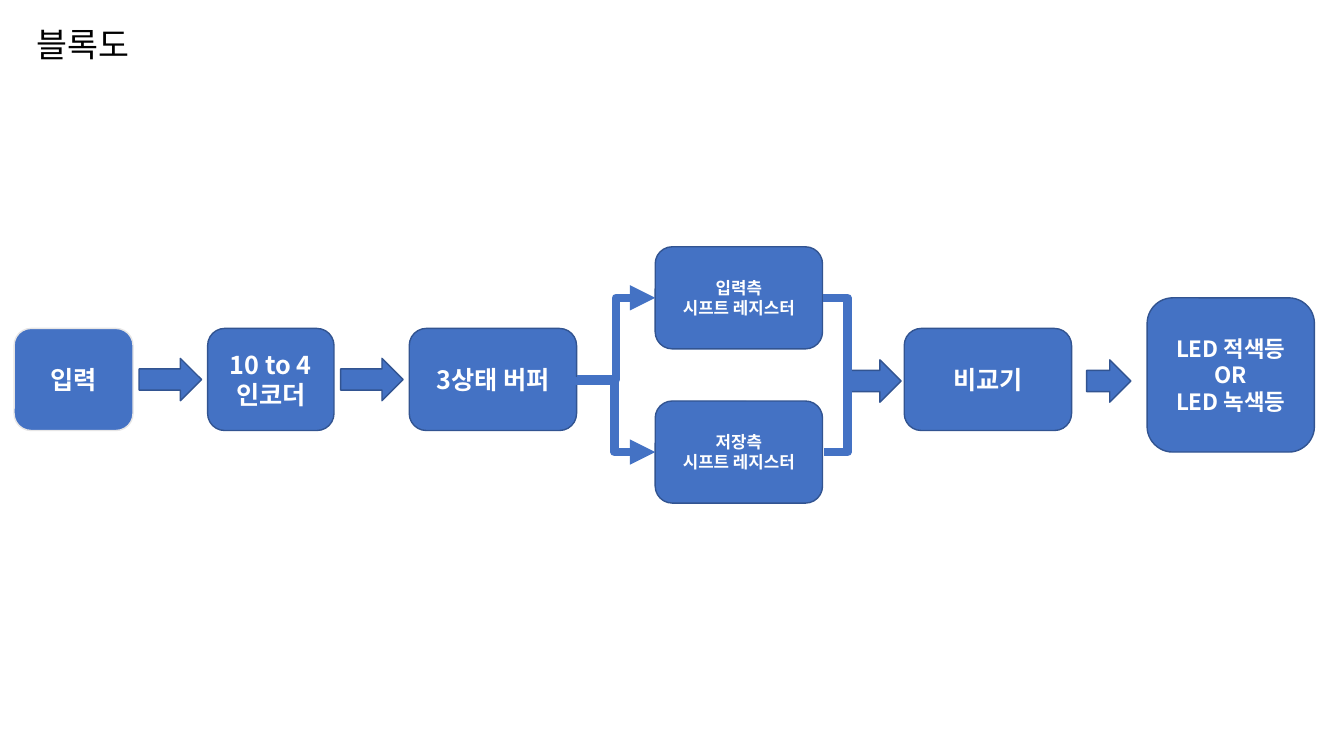
import pptx
import pptx.util
import pptx.dml.color
import pptx.enum.shapes
import pptx.enum.text
import pptx.oxml
import pptx.oxml.ns
from dataclasses import dataclass
from typing import Any

Shape = pptx.enum.shapes.MSO_SHAPE
Align = pptx.enum.text.PP_ALIGN
Anchor = pptx.enum.text.MSO_ANCHOR

WIDE, HIGH = 13.33, 7.5
FONT = "Noto Sans CJK KR"
HUES = {"fill": "4472C4", "edge": "325491", "pale": "E7E6E6",
        "white": "FFFFFF", "black": "000000"}

# Shares of the slide's height, in percent
MID, TOP, LOW = 50.2, 39.4, 59.8
FORK = (TOP + LOW) / 2
TALL = 13.5
# Shares of the slide's width, in percent
BOX = 12.45
SHIFT = 48.75


@dataclass
class Block:
    """A labelled box, placed by its left edge and its middle row."""
    left: float
    row: float
    width: float
    lines: list[str]
    size: int = 18
    height: float = TALL
    edge: str = "edge"


@dataclass
class Arrow:
    """A block arrow, placed by its left edge and its middle row."""
    left: float
    row: float
    width: float
    height: float = 5.6


@dataclass
class Link:
    """A bent line between two points; bend is a share of its width."""
    start: tuple[float, float]
    end: tuple[float, float]
    head: bool = True
    bend: float = 0.5


BLOCKS = [
    Block(1.05, MID, 8.85, ["입력"], edge="pale"),
    Block(15.45, MID, 9.4, ["10 to 4", "인코더"]),
    Block(30.45, MID, BOX, ["3상태 버퍼"]),
    Block(SHIFT, TOP, BOX, ["입력측", "시프트 레지스터"], 12),
    Block(SHIFT, LOW, BOX, ["저장측", "시프트 레지스터"], 12),
    Block(67.28, MID, BOX, ["비교기"]),
    Block(85.35, FORK, BOX, ["LED 적색등", "OR", "LED 녹색등"], 16, 20.4),
]
ARROWS = [Arrow(10.35, MID, 4.65), Arrow(25.35, MID, 4.65),
          Arrow(63.15, 50.4, 3.9), Arrow(80.85, 50.4, 3.3)]
LINKS = [
    Link((30.45 + BOX, MID), (SHIFT, TOP)),
    Link((42.68, 50.4), (SHIFT, LOW)),
    Link((SHIFT + BOX, TOP), (SHIFT + BOX + 0.08, LOW), False, 23.4),
]


def across(share: float) -> int:
    """Turn a share of the width into a length."""
    return pptx.util.Inches(WIDE * share / 100)


def down(share: float) -> int:
    """Turn a share of the height into a length."""
    return pptx.util.Inches(HIGH * share / 100)


def hue(name: str) -> Any:
    """Look up a colour by name."""
    return pptx.dml.color.RGBColor.from_string(HUES[name])


def style(thing: Any, form: dict[str, Any]) -> None:
    """Set each format value on an object."""
    for key, value in form.items():
        setattr(thing, key, value)


def write(shape: Any, lines: list[str], size: int, ink: str,
          bold: bool, align: Any, anchor: Any) -> None:
    """Fill a shape with one paragraph per line."""
    frame = shape.text_frame
    style(frame, {"word_wrap": True, "vertical_anchor": anchor})
    frame.text = "\n".join(lines)
    for para in frame.paragraphs:
        para.alignment = align
        run = para.runs[0]
        style(run.font, {"name": FONT, "size": pptx.util.Pt(size), "bold": bold})
        run.font.color.rgb = hue(ink)
        east = pptx.oxml.ns.qn("a:ea")
        run.font._element.find(pptx.oxml.ns.qn("a:latin")).addnext(
            run.font._element.makeelement(east, {"typeface": FONT}))


def place(slide: Any, kind: Any, item: Any, edge: str = "edge") -> Any:
    """Draw a filled shape around its middle row."""
    shape = slide.shapes.add_shape(
        kind, across(item.left), down(item.row - item.height / 2),
        across(item.width), down(item.height))
    shape.shadow.inherit = False
    shape.fill.solid()
    shape.fill.fore_color.rgb = hue("fill")
    shape.line.color.rgb = hue(edge)
    shape.line.width = pptx.util.Pt(1)
    return shape


def join(slide: Any, link: Link) -> None:
    """Draw a thick bent line."""
    line = slide.shapes.add_connector(
        pptx.enum.shapes.MSO_CONNECTOR.ELBOW,
        across(link.start[0]), down(link.start[1]),
        across(link.end[0]), down(link.end[1]))
    line.line.color.rgb = hue("fill")
    line.line.width = pptx.util.Pt(6)
    space = pptx.oxml.ns.nsdecls("a")
    props = line._element.spPr
    if link.head:
        props.find(pptx.oxml.ns.qn("a:ln")).append(
            pptx.oxml.parse_xml(f'<a:tailEnd {space} type="triangle"/>'))
    props.append(pptx.oxml.parse_xml(f"<a:effectLst {space}/>"))
    bends = props.find(".//" + pptx.oxml.ns.qn("a:avLst"))
    bends.append(pptx.oxml.parse_xml(
        f'<a:gd {space} name="adj1" fmla="val {round(link.bend * 100000)}"/>'))


def build() -> None:
    """Build the block diagram and save it."""
    deck = pptx.Presentation()
    style(deck, {"slide_width": across(100), "slide_height": down(100)})
    slide = deck.slides.add_slide(deck.slide_layouts[5])
    title = slide.shapes.title
    style(title, {"left": across(1.95), "top": down(2.5),
                  "width": across(16), "height": down(6.7)})
    write(title, ["블록도"], 24, "black", False, Align.LEFT, Anchor.TOP)
    for block in BLOCKS:
        shape = place(slide, Shape.ROUNDED_RECTANGLE, block, block.edge)
        write(shape, block.lines, block.size, "white", True,
              Align.CENTER, Anchor.MIDDLE)
    for arrow in ARROWS:
        place(slide, Shape.RIGHT_ARROW, arrow)
    for link in LINKS:
        join(slide, link)
    deck.save("out.pptx")


build()
